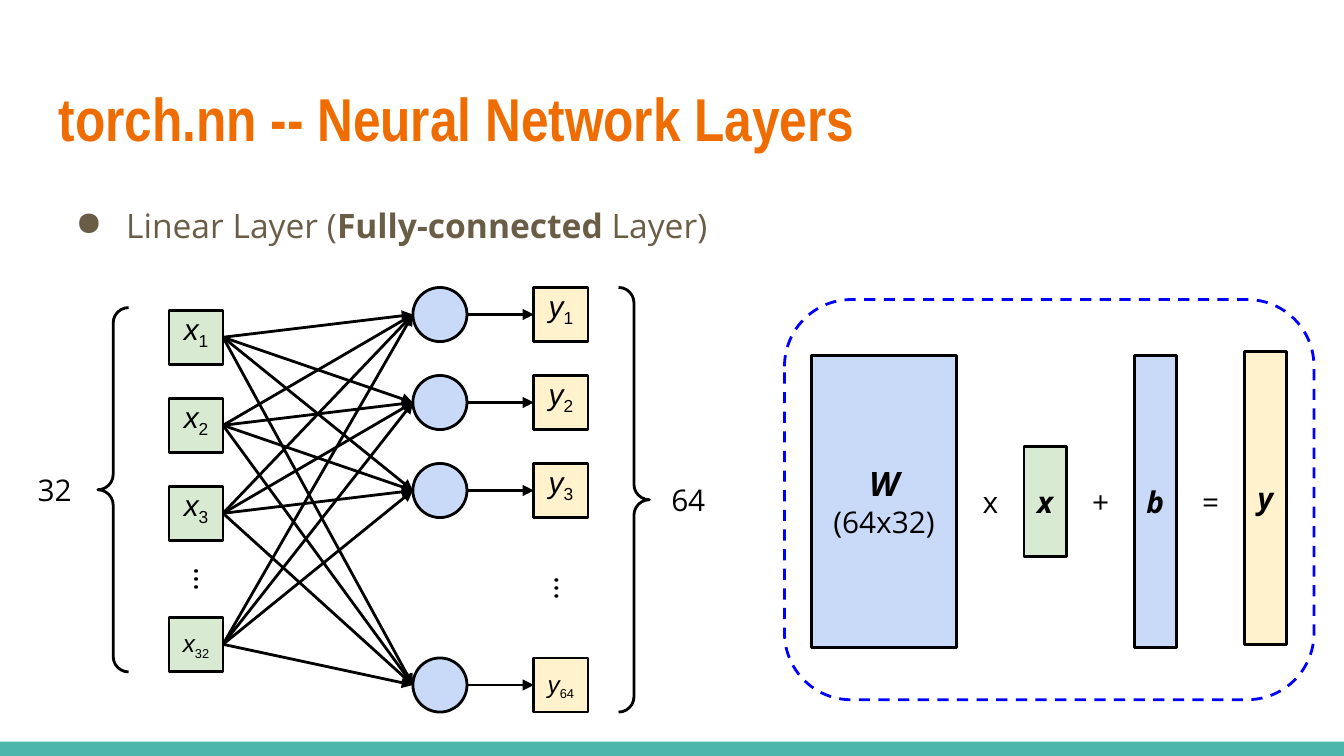
from dataclasses import dataclass

from lxml.etree import SubElement
from pptx import Presentation
from pptx.dml.color import RGBColor
from pptx.enum.dml import MSO_LINE_DASH_STYLE as Dash
from pptx.enum.shapes import MSO_CONNECTOR_TYPE as Link
from pptx.enum.shapes import MSO_SHAPE as Preset
from pptx.enum.text import MSO_ANCHOR as Anchor
from pptx.enum.text import PP_ALIGN as Align
from pptx.oxml.ns import qn
from pptx.shapes.autoshape import Shape
from pptx.slide import Slide
from pptx.util import Pt

BLUE, GREEN, YELLOW = "C9DAF8", "D9EAD3", "FFF2CC"
BLACK, BROWN, ORANGE, TEAL, FRAME = "000000", "695D46", "EF6C00", "4DB6AC", "0000FF"
SIDE = 29
PITCH = 47.15
INPUT_LEFT, NEURON_LEFT, OUTPUT_LEFT = 90.5, 221.2, 286
LEFT_SIDE, RIGHT_SIDE = 1, 3


@dataclass
class Layer:
    symbol: str
    last: int
    left: float
    top: float
    last_top: float
    fill: str

    def rows(self) -> list[tuple[int, float]]:
        """Pair each drawn index with its top; the last one follows a gap."""
        return [(i + 1, self.top + i * PITCH) for i in range(3)] + [(self.last, self.last_top)]


@dataclass
class Block:
    symbol: str
    left: float
    top: float
    width: float
    height: float
    fill: str
    size: float = 16
    caption: str = ""


def colour(code: str) -> RGBColor:
    return RGBColor.from_string(code)


def write(para, text: str, *, size: float = 16, font: str = "Open Sans", color: str = BLACK,
          bold: bool = False, italic: bool = False, subscript: bool = False) -> None:
    span = para.add_run()
    span.text = text
    span.font.name = font
    span.font.size = Pt(size)
    span.font.bold = bold
    span.font.italic = italic
    span.font.color.rgb = colour(color)
    if subscript:
        span.font._element.set("baseline", "-25000")


def add_box(page: Slide, preset: Preset, left: float, top: float, width: float, height: float,
            fill: str | None = None, line: str | None = BLACK) -> Shape:
    box = page.shapes.add_shape(preset, Pt(left), Pt(top), Pt(width), Pt(height))
    box.shadow.inherit = False
    if fill:
        box.fill.solid()
        box.fill.fore_color.rgb = colour(fill)
    else:
        box.fill.background()
    if line:
        box.line.color.rgb = colour(line)
        box.line.width = Pt(1.5)
    else:
        box.line.fill.background()
    return box


def prepare_text(box: Shape, anchor: Anchor = Anchor.TOP, align: Align = Align.CENTER,
                 wrap: bool = True):
    """Set the frame's insets and layout, and return its first paragraph."""
    frame = box.text_frame
    frame.word_wrap = wrap
    frame.vertical_anchor = anchor
    frame.margin_left = frame.margin_right = frame.margin_top = frame.margin_bottom = Pt(7.2)
    para = frame.paragraphs[0]
    para.alignment = align
    return para


def add_label(page: Slide, text: str, left: float, top: float, width: float,
              height: float = 33.8, rotation: float = 0) -> None:
    box = page.shapes.add_textbox(Pt(left), Pt(top), Pt(width), Pt(height))
    box.rotation = rotation
    write(prepare_text(box), text)


def add_node(page: Slide, layer: Layer, index: int, top: float) -> Shape:
    box = add_box(page, Preset.RECTANGLE, layer.left, top, SIDE, SIDE, layer.fill)
    is_last = index == layer.last
    para = prepare_text(box, Anchor.MIDDLE if is_last else Anchor.BOTTOM, wrap=False)
    write(para, layer.symbol, size=13 if is_last else 16, font="Arial", italic=True)
    write(para, str(index), size=12 if is_last else 16, font="Arial", subscript=True)
    return box


def add_arrow(page: Slide, start: tuple[int, int], end: tuple[int, int],
              source: Shape | None = None, target: Shape | None = None) -> None:
    """Draw an arrow, joined to the source's right and the target's left if given."""
    arrow = page.shapes.add_connector(Link.STRAIGHT, *start, *end)
    if source is not None:
        arrow.begin_connect(source, RIGHT_SIDE)
    if target is not None:
        arrow.end_connect(target, LEFT_SIDE)
    arrow.line.color.rgb = colour(BLACK)
    arrow.line.width = Pt(1.5)
    SubElement(arrow.line._get_or_add_ln(), qn("a:tailEnd"), type="triangle")
    SubElement(arrow._element.spPr, qn("a:effectLst"))


def left_middle(box: Shape) -> tuple[int, int]:
    return box.left, box.top + box.height // 2


def right_middle(box: Shape) -> tuple[int, int]:
    return box.left + box.width, box.top + box.height // 2


def add_heading(page: Slide) -> None:
    add_box(page, Preset.RECTANGLE, 0, 397.4, 720, 7.6, TEAL, None)
    title = page.shapes.add_textbox(Pt(24.5), Pt(35.3), Pt(671), Pt(55.4))
    write(prepare_text(title, Anchor.MIDDLE, Align.LEFT), "torch.nn -- Neural Network Layers",
          size=32.4, font="Arial Narrow", color=ORANGE, bold=True)

    body = page.shapes.add_textbox(Pt(24.5), Pt(99.4), Pt(671), Pt(40.3))
    para = prepare_text(body, align=Align.LEFT)
    para.line_spacing = 1.15
    layout = para._p.get_or_add_pPr()
    layout.set("marL", str(Pt(36)))
    layout.set("indent", str(-Pt(27)))
    bullet_colour = SubElement(layout, qn("a:buClr"))
    SubElement(bullet_colour, qn("a:srgbClr"), val=BROWN)
    SubElement(layout, qn("a:buChar"), char="●")
    for text, bold in (("Linear Layer (", False), ("Fully-connected", True), (" Layer)", False)):
        write(para, text, size=18, color=BROWN, bold=bold)


def add_network(page: Slide) -> None:
    input_layer = Layer("x", 32, INPUT_LEFT, 166.2, 330.7, GREEN)
    output_layer = Layer("y", 64, OUTPUT_LEFT, 154, 352.5, YELLOW)
    neurons = [add_box(page, Preset.OVAL, NEURON_LEFT, top, SIDE, SIDE, BLUE)
               for _, top in output_layer.rows()]
    inputs = [add_node(page, input_layer, *row) for row in input_layer.rows()]
    outputs = [add_node(page, output_layer, *row) for row in output_layer.rows()]
    for source in inputs:
        for neuron in neurons:
            add_arrow(page, right_middle(source), left_middle(neuron), source=source)
    for neuron, target in zip(neurons, outputs):
        add_arrow(page, right_middle(neuron), left_middle(target), target=target)

    for preset, left, top, height in ((Preset.LEFT_BRACE, 52.4, 164.8, 195.2),
                                      (Preset.RIGHT_BRACE, 331.4, 154, 227.5)):
        brace = add_box(page, preset, left, top, 16.5, height)
        brace.adjustments[0] = brace.adjustments[1] = 0.5
    add_label(page, "32", 8.4, 245.5, 41.8)
    add_label(page, "64", 347.8, 250.8, 41.8)
    add_label(page, "...", 290.2, 299.5, 28.8, 31.7, rotation=90)
    add_label(page, "...", 97.2, 294.5, 28.8, 31.7, rotation=90)


def add_equation(page: Slide) -> None:
    blocks = (
        Block("W", 434.7, 190.3, 77.8, 156.5, BLUE, 18, "(64x32)"),
        Block("x", 548.6, 239.2, 22.6, 58.9, GREEN),
        Block("b", 607.6, 190.3, 22.6, 156.5, BLUE),
        Block("y", 666.6, 188.3, 22.6, 156.9, YELLOW),
    )
    for block in blocks:
        box = add_box(page, Preset.RECTANGLE, block.left, block.top, block.width, block.height,
                      block.fill)
        para = prepare_text(box, Anchor.MIDDLE, wrap=False)
        write(para, block.symbol, size=block.size, bold=True, italic=True)
        if block.caption:
            caption = box.text_frame.add_paragraph()
            caption.alignment = Align.CENTER
            write(caption, block.caption)
    for place, operator in enumerate("x+="):
        add_label(page, operator, 516.2 + 59 * place, 252, 28.8)
    frame = add_box(page, Preset.ROUNDED_RECTANGLE, 420.3, 160.5, 283.7, 214.4, line=FRAME)
    frame.adjustments[0] = 0.167
    frame.line.dash_style = Dash.DASH


def main() -> None:
    deck = Presentation()
    deck.slide_width, deck.slide_height = Pt(720), Pt(405)
    page = deck.slides.add_slide(deck.slide_layouts[6])
    add_heading(page)
    add_network(page)
    add_equation(page)
    deck.save("out.pptx")


if __name__ == "__main__":
    main()
